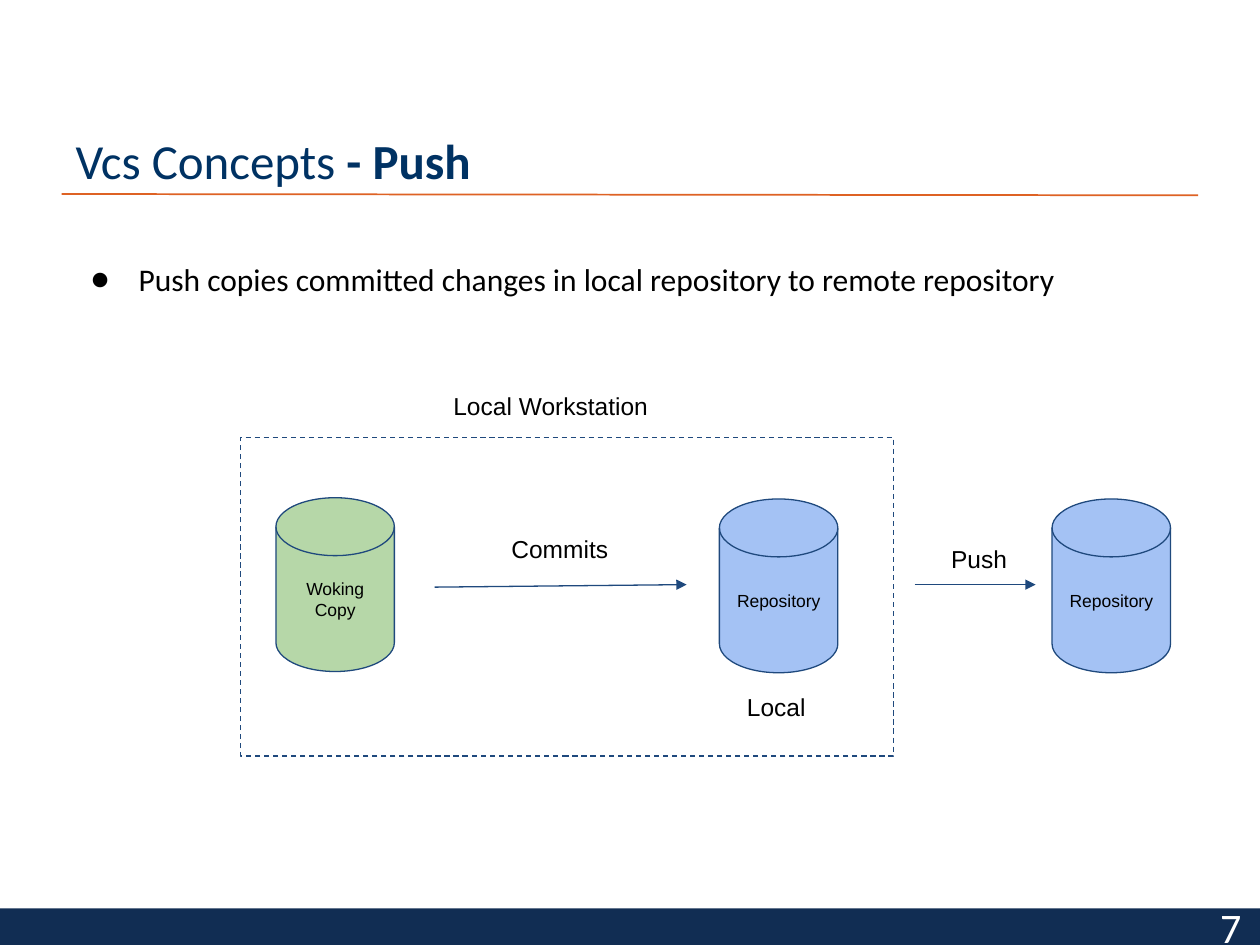
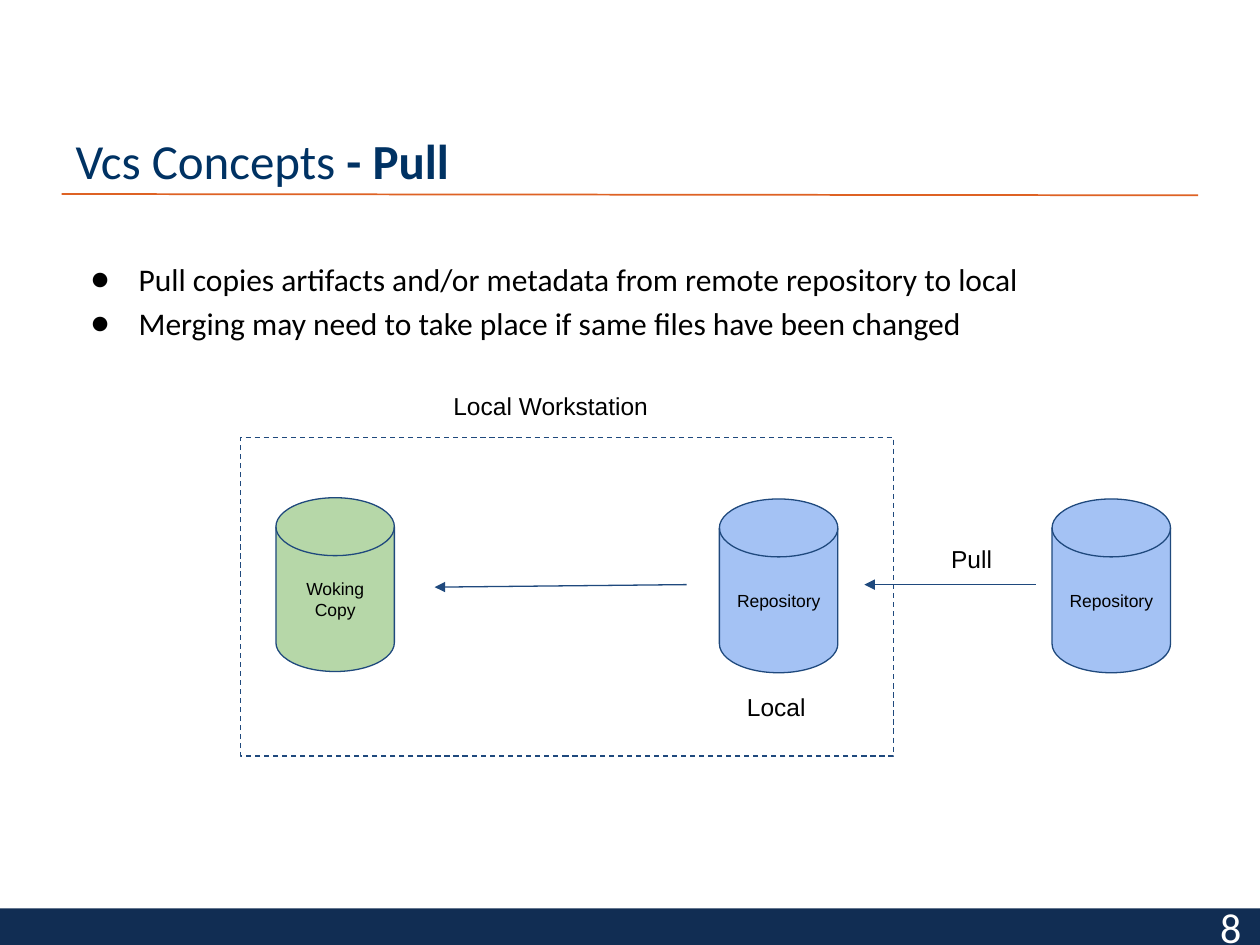
from lxml.etree import SubElement
from pptx import Presentation
from pptx.dml.color import RGBColor
from pptx.enum.dml import MSO_LINE
from pptx.enum.shapes import MSO_CONNECTOR, MSO_SHAPE
from pptx.enum.text import MSO_ANCHOR as ANCHOR, MSO_AUTO_SIZE as AUTO_SIZE, PP_ALIGN as ALIGN
from pptx.oxml.ns import qn
from pptx.util import Inches, Pt

# Content; an arrow is (tail, tip)
HEADING = "Vcs Concepts"
SLIDES = [
    {"number": 7, "topic": "Push",
     "bullets": ["Push copies committed changes in local repository to remote repository"],
     "arrows": [((3.45, 4.66), (5.45, 4.64)), ((7.26, 4.64), (8.22, 4.64))],
     "labels": [("Commits", 3.96, 4.14, 0.98), ("Push", 7.45, 4.22, 0.98)]},
    {"number": 8, "topic": "Pull",
     "bullets": ["Pull copies artifacts and/or metadata from remote repository to local",
                 "Merging may need to take place if same files have been changed"],
     "arrows": [((5.45, 4.64), (3.45, 4.66)), ((8.22, 4.64), (6.86, 4.64))],
     "labels": [("Pull", 7.45, 4.22, 0.98)]},
]
GREEN, BLUE = "B6D7A8", "A4C2F4"
STORES = [("Repository", 5.71, 3.96, BLUE), ("Woking Copy", 2.19, 3.95, GREEN),
          ("Repository", 8.35, 3.96, BLUE)]
SHARED_LABELS = [("Local", 5.83, 5.39, 0.83), ("Local Workstation", 3.5, 3, 2)]

# Shared style
NAVY, TITLE_BLUE, OUTLINE = "112D53", "003263", "1F497D"
ORANGE, BLACK, WHITE = "DE6224", "000000", "FFFFFF"
HEADING_FONT, DIAGRAM_FONT = "Calibri", "Arial"


def color(value):
    return RGBColor.from_string(value)


def place(shape, left, top, width, height):
    shape.left, shape.top = Inches(left), Inches(top)
    shape.width, shape.height = Inches(width), Inches(height)


def set_font(paragraph, name, size, ink):
    paragraph.font.name, paragraph.font.size = name, Pt(size)
    paragraph.font.color.rgb = color(ink)


def set_frame(frame, anchor, vertical_inset, auto_size=AUTO_SIZE.NONE):
    frame.word_wrap, frame.auto_size = True, auto_size
    frame.vertical_anchor = anchor
    frame.margin_left = frame.margin_right = Inches(0.1)
    frame.margin_top = frame.margin_bottom = Inches(vertical_inset)


def add_block(slide, kind, box, fill=None, line=None):
    block = slide.shapes.add_shape(kind, *map(Inches, box))
    block.shadow.inherit = False
    if fill:
        block.fill.solid()
        block.fill.fore_color.rgb = color(fill)
    else:
        block.fill.background()
    if line:
        block.line.color.rgb = color(line)
        block.line.width = Pt(0.75)
    else:
        block.line.fill.background()
    return block


def add_line(slide, start, end, ink, width, arrow=False):
    line = slide.shapes.add_connector(MSO_CONNECTOR.STRAIGHT, *map(Inches, start + end))
    line.line.color.rgb = color(ink)
    line.line.width = Pt(width)
    if arrow:
        SubElement(line.line._get_or_add_ln(), qn("a:tailEnd"), type="triangle")
    SubElement(line._element.spPr, qn("a:effectLst"))


def add_text(slide, text, box, font, size, ink, anchor, inset, auto_size=AUTO_SIZE.NONE):
    frame = slide.shapes.add_textbox(*map(Inches, box)).text_frame
    set_frame(frame, anchor, inset, auto_size)
    paragraph = frame.paragraphs[0]
    paragraph.text = text
    set_font(paragraph, font, size, ink)
    return paragraph


def add_title(slide, topic):
    title = slide.shapes.title
    place(title, 0.5, 0.3, 7.6, 1.25)
    set_frame(title.text_frame, ANCHOR.BOTTOM, 0.05)
    heading = title.text_frame.paragraphs[0]
    heading.alignment = ALIGN.LEFT
    heading.add_run().text = HEADING
    topic_run = heading.add_run()
    topic_run.text = f" - {topic}"
    topic_run.font.bold = True
    set_font(heading, HEADING_FONT, 28, TITLE_BLUE)


def add_bullets(slide, bullets):
    body = slide.placeholders[1]
    place(body, 0.5, 1.97, 9, 1)
    frame = body.text_frame
    set_frame(frame, ANCHOR.TOP, 0.05)
    frame.text = "\n".join(bullets)
    for index, paragraph in enumerate(frame.paragraphs):
        paragraph.line_spacing = 1.15
        paragraph.space_before = Pt(0 if index else 10)
        properties = paragraph._p.get_or_add_pPr()
        properties.set("marL", str(Inches(0.5)))
        properties.set("indent", str(Inches(-0.38)))
        bullet_color = SubElement(properties, qn("a:buClr"))
        SubElement(bullet_color, qn("a:srgbClr"), val=BLACK)
        SubElement(properties, qn("a:buFont"), typeface=HEADING_FONT)
        SubElement(properties, qn("a:buChar"), char="●")
        set_font(paragraph, HEADING_FONT, 18, BLACK)


def add_store(slide, name, left, top, fill):
    store = add_block(slide, MSO_SHAPE.FLOWCHART_MAGNETIC_DISK,
                      (left, top, 0.94, 1.38), fill, OUTLINE)
    set_frame(store.text_frame, ANCHOR.MIDDLE, 0.1)
    caption = store.text_frame.paragraphs[0]
    caption.text = name
    caption.alignment = ALIGN.CENTER
    set_font(caption, DIAGRAM_FONT, 10, BLACK)


def build_slide(deck, content):
    slide = deck.slides.add_slide(deck.slide_layouts[1])

    # Title rule, footer band and page number
    add_line(slide, (0.49, 1.54), (9.51, 1.55), ORANGE, 1)
    add_block(slide, MSO_SHAPE.RECTANGLE, (0, 7.21, 10.02, 0.29), NAVY)
    page = add_text(slide, str(content["number"]), (7.7, 7.21, 2.25, 0.29),
                    HEADING_FONT, 24, WHITE, ANCHOR.MIDDLE, 0.05)
    page.alignment = ALIGN.RIGHT

    add_title(slide, content["topic"])
    add_bullets(slide, content["bullets"])

    # Diagram
    workstation = add_block(slide, MSO_SHAPE.RECTANGLE, (1.91, 3.47, 5.18, 2.53), line=OUTLINE)
    workstation.line.dash_style = MSO_LINE.DASH
    for store in STORES:
        add_store(slide, *store)
    for tail, tip in content["arrows"]:
        add_line(slide, tail, tip, OUTLINE, 0.75, arrow=True)
    for text, left, top, width in SHARED_LABELS + content["labels"]:
        add_text(slide, text, (left, top, width, 0.44), DIAGRAM_FONT, 14, BLACK,
                 ANCHOR.TOP, 0.1, AUTO_SIZE.SHAPE_TO_FIT_TEXT)


deck = Presentation()
deck.slide_width, deck.slide_height = Inches(10), Inches(7.5)
for content in SLIDES:
    build_slide(deck, content)
deck.save("out.pptx")
